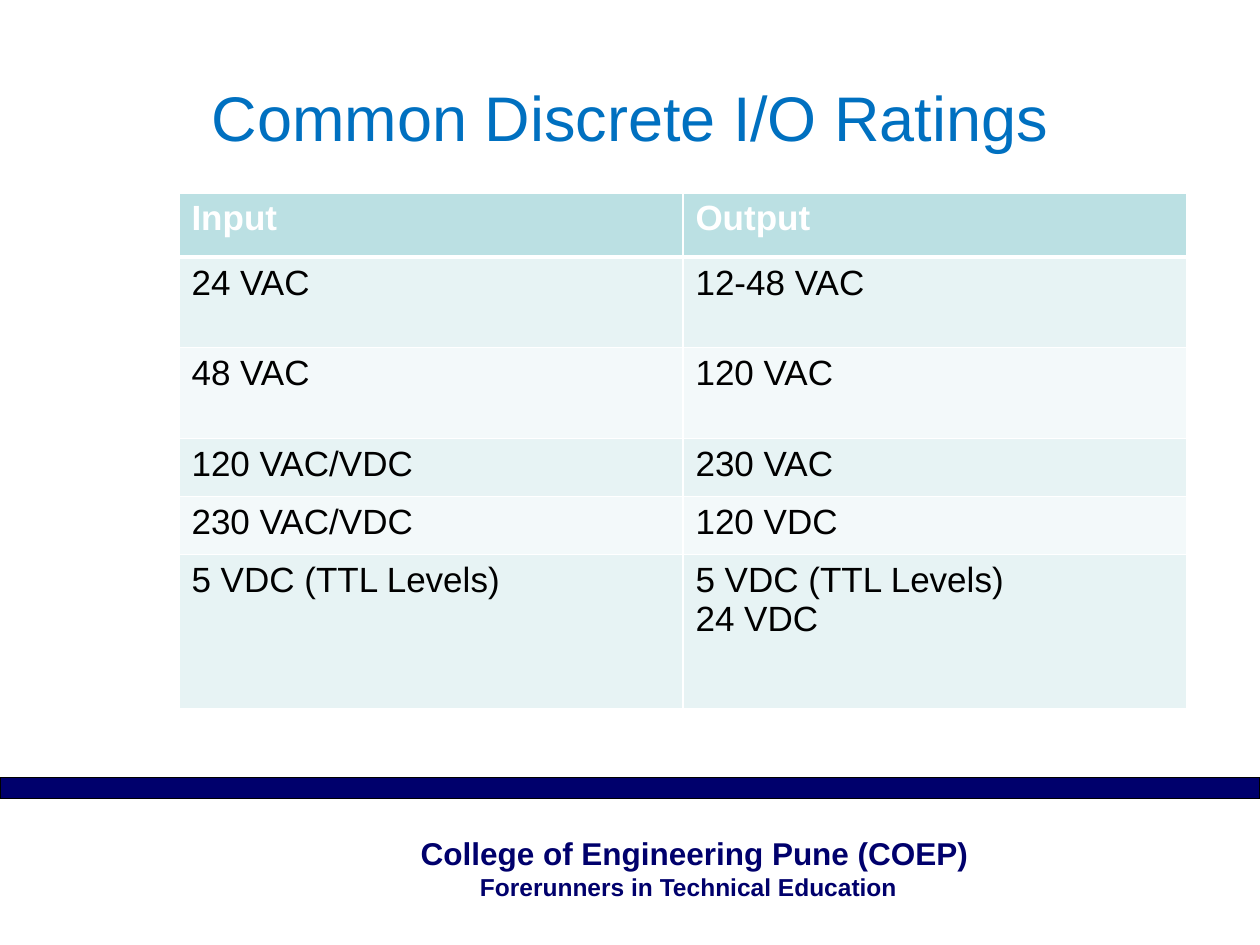
from dataclasses import dataclass

from lxml import etree
from pptx import Presentation
from pptx import util as u
from pptx.dml.color import RGBColor
from pptx.enum import shapes, text
from pptx.oxml import ns

WHITE = RGBColor(0xFF, 0xFF, 0xFF)
BLACK = RGBColor(0x00, 0x00, 0x00)
NAVY = RGBColor(0x00, 0x00, 0x6C)
TITLE_BLUE = RGBColor(0x00, 0x70, 0xC0)
HEADER_TEAL = RGBColor(0xBB, 0xE0, 0xE3)
BANDS = (RGBColor(0xE7, 0xF3, 0xF4), RGBColor(0xF3, 0xF9, 0xFA))


@dataclass(frozen=True)
class Rating:
    input: str
    output: str
    height: float


@dataclass(frozen=True)
class FooterLine:
    wording: str
    size: int
    indent: float


RATINGS = (
    Rating("Input", "Output", 0.51),
    Rating("24 VAC", "12-48 VAC", 0.72),
    Rating("48 VAC", "120 VAC", 0.72),
    Rating("120 VAC/VDC", "230 VAC", 0.46),
    Rating("230 VAC/VDC", "120 VDC", 0.46),
    Rating("5 VDC (TTL Levels)", "5 VDC (TTL Levels)\n24 VDC", 1.23),
)
FOOTER = (
    FooterLine("College of Engineering Pune (COEP)", 18, 0.55),
    FooterLine("Forerunners in Technical Education", 14, 1.02),
)


def format_font(font, size: int, color: RGBColor, bold: bool = False) -> None:
    values = {"name": "Arial", "size": u.Pt(size), "bold": bold}
    for name, value in values.items():
        setattr(font, name, value)
    font.color.rgb = color


def place(shape, left: float, top: float, width: float, height: float) -> None:
    values = {"left": left, "top": top, "width": width, "height": height}
    for name, value in values.items():
        setattr(shape, name, u.Inches(value))


def add_border(cell, side: str, points: float) -> None:
    """Draw a white border; call before the cell fill is set."""
    properties = cell._tc.get_or_add_tcPr()
    line = etree.SubElement(properties, ns.qn(f"a:ln{side}"), w=str(u.Pt(points)))
    fill = etree.SubElement(line, ns.qn("a:solidFill"))
    etree.SubElement(fill, ns.qn("a:srgbClr"), val=str(WHITE))


def add_title(slide) -> None:
    title = slide.shapes.title
    place(title, 0.5, 0.3, 9, 1.25)
    title.text_frame.text = "Common Discrete I/O Ratings"
    title.text_frame.vertical_anchor = text.MSO_ANCHOR.MIDDLE
    paragraph = title.text_frame.paragraphs[0]
    paragraph.alignment = text.PP_ALIGN.CENTER
    format_font(paragraph.font, 36, TITLE_BLUE)


def add_ratings_table(slide) -> None:
    height = sum(rating.height for rating in RATINGS)
    table = slide.shapes.add_table(
        len(RATINGS), 2, u.Inches(1.42), u.Inches(1.53), u.Inches(8), u.Inches(height)
    ).table
    for index, rating in enumerate(RATINGS):
        table.rows[index].height = u.Inches(rating.height)
        header = index == 0
        borders = {"L": 1, "R": 1, "T": 3 if index == 1 else 1, "B": 3 if header else 1}
        for column, wording in enumerate((rating.input, rating.output)):
            cell = table.cell(index, column)
            for side, points in borders.items():
                add_border(cell, side, points)
            cell.fill.solid()
            cell.fill.fore_color.rgb = HEADER_TEAL if header else BANDS[(index - 1) % 2]
            cell.text_frame.text = wording
            for paragraph in cell.text_frame.paragraphs:
                format_font(paragraph.font, 20, WHITE if header else BLACK, header)


def add_footer(slide) -> None:
    bar = slide.shapes.add_shape(
        shapes.MSO_SHAPE.RECTANGLE, 0, u.Inches(6.17), u.Inches(10), u.Inches(0.17)
    )
    bar.shadow.inherit = False
    bar.fill.solid()
    bar.fill.fore_color.rgb = NAVY
    bar.line.color.rgb = BLACK
    bar.line.width = u.Pt(0.75)

    box = slide.shapes.add_textbox(
        u.Inches(2.69), u.Inches(6.57), u.Inches(6.31), u.Inches(0.93)
    )
    frame = box.text_frame
    frame.word_wrap = True
    frame.text = "\n".join(line.wording for line in FOOTER)
    for paragraph, line in zip(frame.paragraphs, FOOTER):
        paragraph._p.get_or_add_pPr().set("marL", str(u.Inches(line.indent)))
        format_font(paragraph.font, line.size, NAVY, True)


def main() -> None:
    presentation = Presentation()
    presentation.slide_width = u.Inches(10)
    presentation.slide_height = u.Inches(7.5)
    slide = presentation.slides.add_slide(presentation.slide_layouts[5])
    add_footer(slide)
    add_title(slide)
    add_ratings_table(slide)
    presentation.save("out.pptx")


if __name__ == "__main__":
    main()
